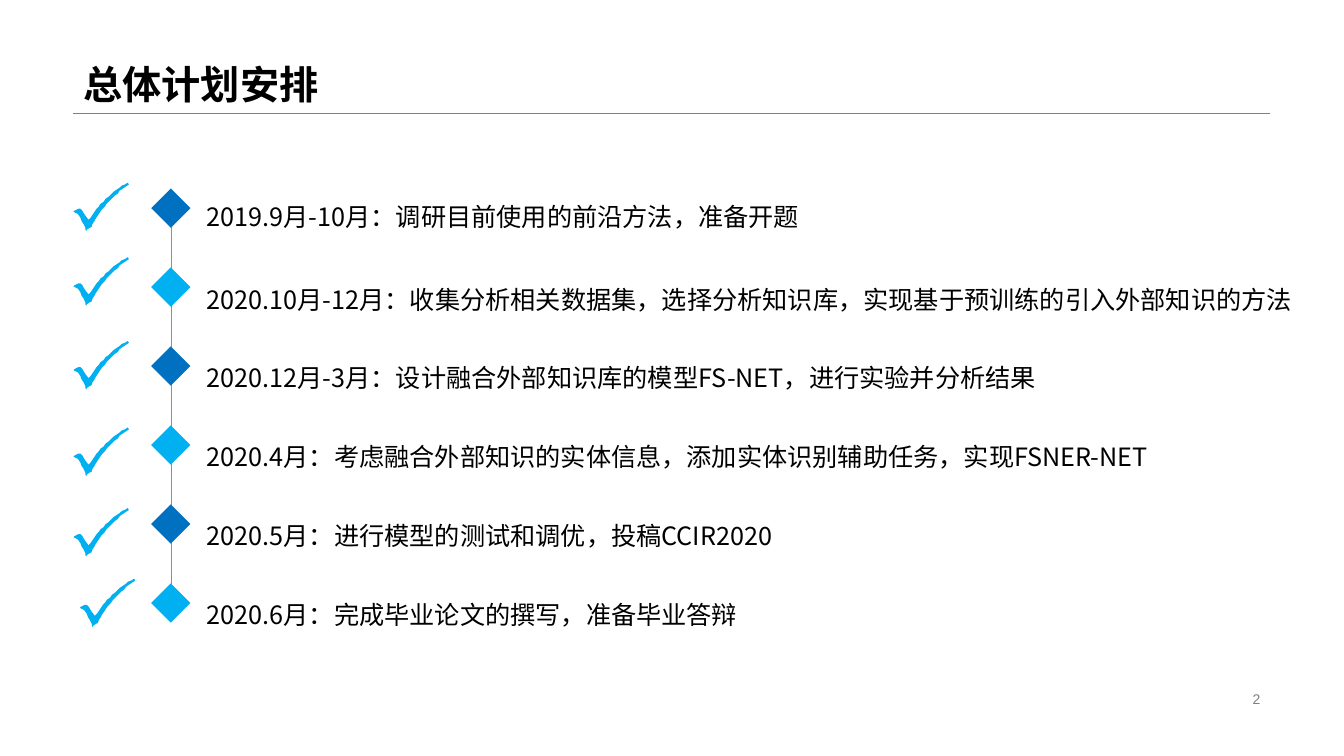
import dataclasses

import pptx
import pptx.dml.color
import pptx.enum.shapes
import pptx.enum.text
import pptx.oxml.ns
import pptx.util
from lxml import etree
from pptx.util import Cm

RGBColor = pptx.dml.color.RGBColor
BLACK = RGBColor(0x00, 0x00, 0x00)
GRAY = RGBColor(0x80, 0x80, 0x80)
DARK_BLUE = RGBColor(0x00, 0x70, 0xC0)
LIGHT_BLUE = RGBColor(0x00, 0xB0, 0xF0)
TIMELINE_BLUE = RGBColor(0x5E, 0x98, 0xDD)

CJK_FONT = "Noto Sans CJK SC"
TITLE_FONT = {"name": "Arial", "size": pptx.util.Pt(28), "bold": True}
STAGE_FONT = {"name": CJK_FONT, "size": pptx.util.Pt(18)}
NUMBER_FONT = {"name": "Arial", "size": pptx.util.Pt(10)}
STAGE_FRAME = {
    "word_wrap": True,
    "margin_left": Cm(0),
    "margin_top": Cm(0.33),
    "margin_right": Cm(0.43),
    "margin_bottom": Cm(0.23),
}

DIAMOND_LEFT, DIAMOND_TOP, DIAMOND_SIZE = 3.81, 4.75, 0.99
STAGE_PITCH = 1.99

# Outline of the check mark, in hundredths of an inch
CHECK_OUTLINE = [
    (54, 0), (55, 2), (52, 4), (49, 6), (46, 8), (44, 11), (41, 13), (38, 16),
    (36, 18), (33, 21), (31, 24), (28, 27), (26, 30), (24, 33), (22, 36),
    (21, 38), (19, 41), (18, 44), (16, 45), (13, 47), (13, 48), (12, 47),
    (12, 45), (10, 41), (8, 38), (7, 35), (5, 32), (4, 31), (2, 30), (0, 29),
    (1, 28), (3, 27), (5, 26), (7, 26), (9, 28), (10, 30), (12, 33), (15, 37),
    (17, 35), (19, 32), (21, 29), (23, 26), (25, 24), (27, 21), (30, 19),
    (32, 16), (35, 14), (38, 11), (40, 9), (43, 7), (46, 5), (48, 3), (51, 2),
]
CHECK_SCALE = Cm(2.54) / 100


@dataclasses.dataclass(frozen=True)
class Stage:
    text: str
    text_top: float
    check_top: float
    text_width: float = 25.27
    check_left: float = 1.85


STAGES = [
    Stage("2019.9月-10月：调研目前使用的前沿方法，准备开题", 4.37, 4.6, 27.86),
    Stage("2020.10月-12月：收集分析相关数据集，选择分析知识库，"
          "实现基于预训练的引入外部知识的方法", 6.45, 6.48, 28.22),
    Stage("2020.12月-3月：设计融合外部知识库的模型FS-NET，进行实验并分析结果", 8.43, 8.59),
    Stage("2020.4月：考虑融合外部知识的实体信息，添加实体识别辅助任务，实现FSNER-NET",
          10.41, 10.77),
    Stage("2020.5月：进行模型的测试和调优，投稿CCIR2020", 12.4, 12.8),
    Stage("2020.6月：完成毕业论文的撰写，准备毕业答辩", 14.4, 14.58, check_left=2.01),
]


def apply_format(target, values: dict) -> None:
    for name, value in values.items():
        setattr(target, name, value)


def write_text(paragraph, text: str, font: dict, color: RGBColor = BLACK) -> None:
    run = paragraph.add_run()
    run.text = text
    apply_format(run.font, font)
    run.font.color.rgb = color
    east_asian = etree.SubElement(run.font._element, pptx.oxml.ns.qn("a:ea"))
    east_asian.set("typeface", CJK_FONT)


def add_line(slide, start: tuple, end: tuple, color: RGBColor, width: float) -> None:
    line = slide.shapes.add_connector(
        pptx.enum.shapes.MSO_CONNECTOR.STRAIGHT,
        *(Cm(value) for value in start + end))
    line.line.color.rgb = color
    line.line.width = pptx.util.Pt(width)
    etree.SubElement(line._element.spPr, pptx.oxml.ns.qn("a:effectLst"))


def fill_plain(shape, color: RGBColor) -> None:
    shape.shadow.inherit = False
    shape.fill.solid()
    shape.fill.fore_color.rgb = color
    shape.line.fill.background()


def add_title(slide, text: str) -> None:
    title = slide.shapes.title
    apply_format(title, {"left": Cm(1.85), "top": Cm(0),
                         "width": Cm(30.15), "height": Cm(2.84)})
    apply_format(title.text_frame, {
        "vertical_anchor": pptx.enum.text.MSO_ANCHOR.BOTTOM,
        "auto_size": pptx.enum.text.MSO_AUTO_SIZE.NONE,
        "word_wrap": True,
    })
    paragraph = title.text_frame.paragraphs[0]
    apply_format(paragraph, {"alignment": pptx.enum.text.PP_ALIGN.LEFT,
                             "line_spacing": 0.9})
    write_text(paragraph, text, TITLE_FONT)


def add_check(slide, left: float, top: float) -> None:
    builder = slide.shapes.build_freeform(*CHECK_OUTLINE[0], scale=CHECK_SCALE)
    builder.add_line_segments(CHECK_OUTLINE[1:], close=True)
    fill_plain(builder.convert_to_shape(Cm(left), Cm(top)), LIGHT_BLUE)


def add_stage(slide, index: int, stage: Stage) -> None:
    diamond = slide.shapes.add_shape(
        pptx.enum.shapes.MSO_SHAPE.DIAMOND, Cm(DIAMOND_LEFT),
        Cm(DIAMOND_TOP + index * STAGE_PITCH), Cm(DIAMOND_SIZE), Cm(DIAMOND_SIZE))
    fill_plain(diamond, LIGHT_BLUE if index % 2 else DARK_BLUE)
    box = slide.shapes.add_textbox(
        Cm(5.21), Cm(stage.text_top), Cm(stage.text_width), Cm(1.57))
    apply_format(box.text_frame, STAGE_FRAME)
    paragraph = box.text_frame.paragraphs[0]
    paragraph.line_spacing = 1.5
    write_text(paragraph, stage.text, STAGE_FONT)
    add_check(slide, stage.check_left, stage.check_top)


def add_page_number(slide, number: str) -> None:
    box = slide.shapes.add_textbox(Cm(23.93), Cm(17.32), Cm(8.08), Cm(0.58))
    apply_format(box.text_frame, {
        "word_wrap": True,
        "vertical_anchor": pptx.enum.text.MSO_ANCHOR.MIDDLE,
    })
    paragraph = box.text_frame.paragraphs[0]
    paragraph.alignment = pptx.enum.text.PP_ALIGN.RIGHT
    write_text(paragraph, number, NUMBER_FONT, GRAY)


def main() -> None:
    presentation = pptx.Presentation()
    presentation.slide_width = Cm(33.87)
    presentation.slide_height = Cm(19.05)
    slide = presentation.slides.add_slide(
        presentation.slide_layouts.get_by_name("Title Only"))
    add_title(slide, "总体计划安排")
    add_line(slide, (1.85, 2.84), (32, 2.84), GRAY, 0.25)
    add_line(slide, (4.32, 4.88), (4.32, 15.67), TIMELINE_BLUE, 0.5)
    for index, stage in enumerate(STAGES):
        add_stage(slide, index, stage)
    add_page_number(slide, "2")
    presentation.save("out.pptx")


if __name__ == "__main__":
    main()
